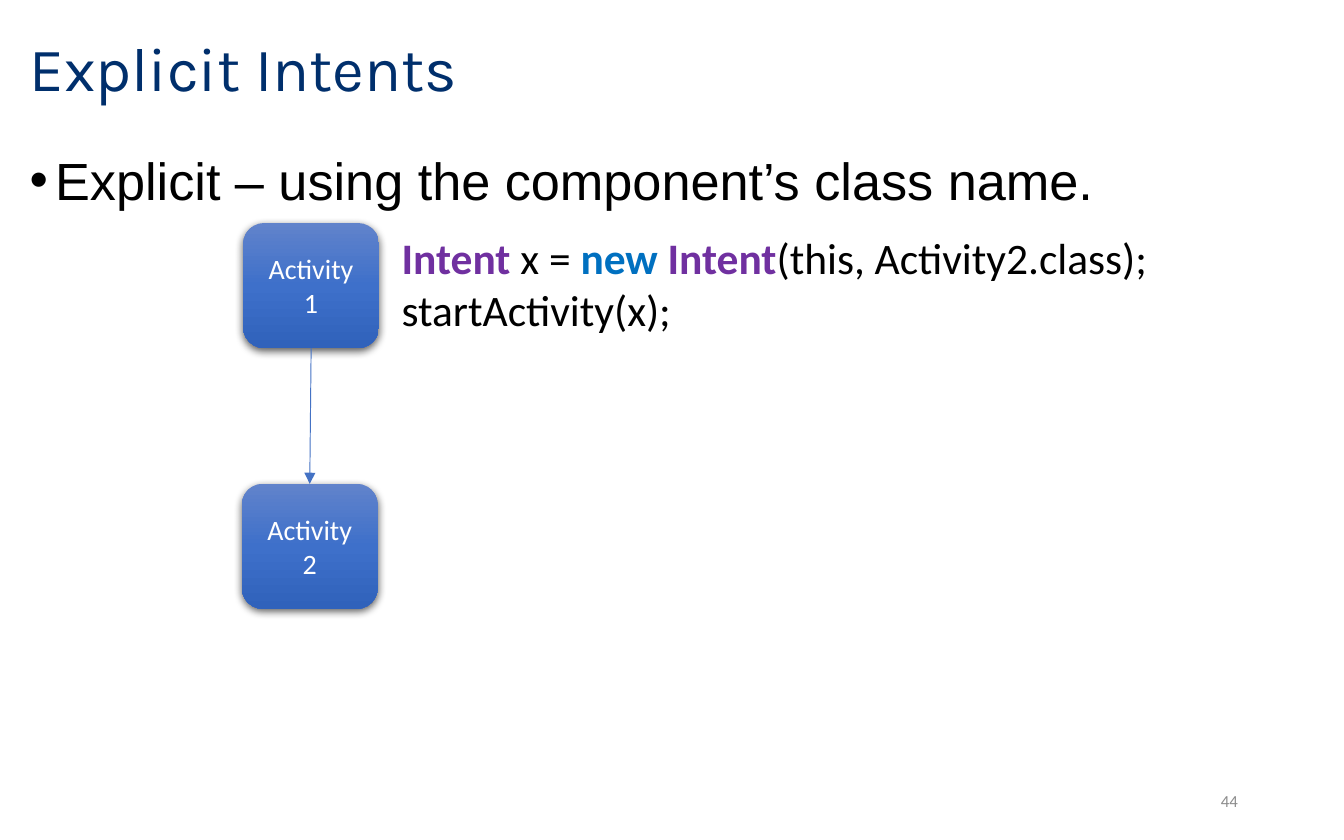
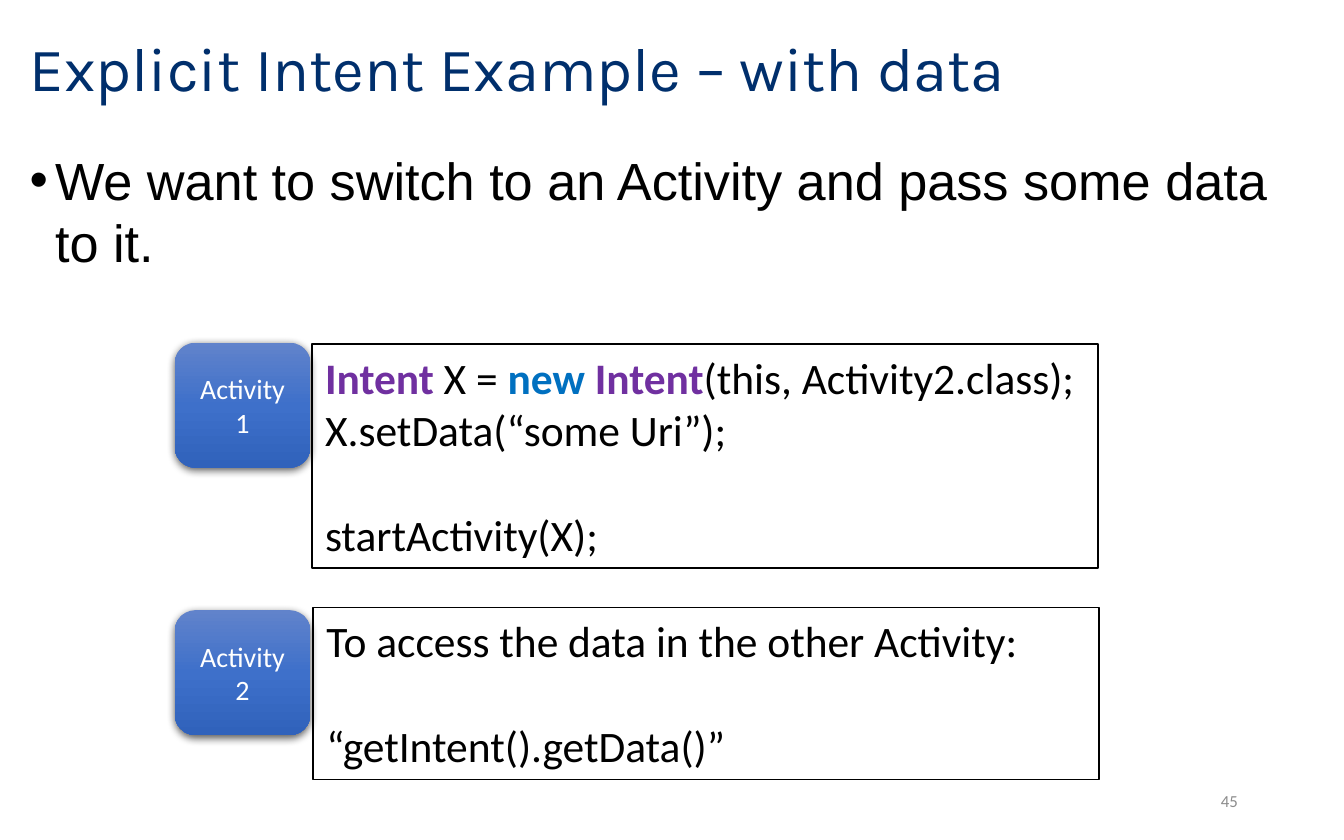
from copy import deepcopy
from dataclasses import dataclass

from lxml import etree
from pptx import Presentation
from pptx.dml.color import RGBColor
from pptx.enum.shapes import MSO_CONNECTOR, MSO_SHAPE
from pptx.enum.text import MSO_ANCHOR, MSO_AUTO_SIZE, PP_ALIGN
from pptx.oxml.ns import qn
from pptx.util import Pt

ROUND = MSO_SHAPE.ROUNDED_RECTANGLE
STRAIGHT = MSO_CONNECTOR.STRAIGHT
MID, TOP = MSO_ANCHOR.MIDDLE, MSO_ANCHOR.TOP
LEFT, CENTER, RIGHT = PP_ALIGN.LEFT, PP_ALIGN.CENTER, PP_ALIGN.RIGHT
FIXED, GROW = MSO_AUTO_SIZE.NONE, MSO_AUTO_SIZE.SHAPE_TO_FIT_TEXT
UNIT = 9144  # EMU in one px, 100 px to the inch


@dataclass(frozen=True)
class Theme:
    head: str = "Karla"
    body: str = "Arial"
    text: str = "Calibri"
    navy: str = "002F6C"
    black: str = "000000"
    white: str = "FFFFFF"
    grey: str = "8C8C8C"
    arrow: str = "4472C4"
    type: str = "7030A0"
    key: str = "0070C0"
    blend: tuple = ((0, "6183CB"), (0.5, "3E70CA"), (1, "3062BB"))
    title: float = 33
    list: float = 28
    code: float = 23.3
    label: float = 15
    note: float = 9
    gap: float = 28.4  # one empty line of code


def px(*nums):
    return [n * UNIT for n in nums]


def rgb(code):
    return RGBColor.from_string(code)


def node(up, tag, **attrs):
    return etree.SubElement(up, qn(tag), {k: str(v) for k, v in attrs.items()})


class Deck:
    def __init__(self, theme):
        self.theme = theme
        self.prs = Presentation()
        self.prs.slide_width, self.prs.slide_height = px(1000, 625)
        self.slide = None

    # Text helpers
    def run(self, para, text, font, size, color, bold=False):
        run = para.add_run()
        run.text = text
        run.font.name, run.font.size = font, Pt(size)
        run.font.bold = bold
        run.font.color.rgb = rgb(color)

    def frame(self, shape, anchor=TOP, fit=FIXED, wrap=True):
        frame = shape.text_frame
        frame.auto_size, frame.word_wrap = fit, wrap
        frame.vertical_anchor = anchor
        return frame

    def place(self, shape, *box):
        shape.left, shape.top, shape.width, shape.height = px(*box)

    # Title, list and page number
    def page(self, title, point, num):
        t = self.theme
        self.slide = self.prs.slides.add_slide(self.prs.slide_layouts[1])
        self.title(title)
        self.point(point)
        box = self.slide.shapes.add_textbox(*px(706, 579, 225, 33))
        para = self.frame(box, MID).paragraphs[0]
        para.alignment = RIGHT
        self.run(para, str(num), t.text, t.note, t.grey)

    def title(self, text):
        t, shape = self.theme, self.slide.shapes.title
        self.place(shape, 12, 10, 852, 86)
        para = self.frame(shape, MID).paragraphs[0]
        para.alignment, para.line_spacing = LEFT, 0.9
        self.run(para, text, t.head, t.title, t.navy)

    def point(self, text):
        t, shape = self.theme, self.slide.placeholders[1]
        self.place(shape, 12, 105, 977, 458)
        para = self.frame(shape).paragraphs[0]
        props = para._p.get_or_add_pPr()
        props.set("marL", str(19 * UNIT))
        props.set("indent", str(-19 * UNIT))
        node(props, "a:buChar", char="•")
        para.space_before = Pt(0)
        self.run(para, text, t.body, t.list, t.black)

    # Rounded box for one activity
    def activity(self, num, left, top):
        t = self.theme
        shape = self.slide.shapes.add_shape(ROUND, *px(left, top, 101, 93))
        shape.line.fill.background()
        self.blend(shape)
        self.shade(shape)
        para = self.frame(shape, MID).paragraphs[0]
        para.alignment = CENTER
        self.run(para, "Activity", t.text, t.label, t.white)
        para.add_line_break()
        self.run(para, str(num), t.text, t.label, t.white)
        return shape

    def blend(self, shape):
        fill = shape.fill
        fill.gradient()
        fill.gradient_angle = 270
        stops = shape.element.spPr.find(".//" + qn("a:gsLst"))
        stops.append(deepcopy(stops[0]))
        for stop, (pos, color) in zip(fill.gradient_stops, self.theme.blend):
            stop.position, stop.color.rgb = pos, rgb(color)

    def shade(self, shape):
        shape.shadow.inherit = False
        effect = shape.element.spPr.find(qn("a:effectLst"))
        shadow = node(effect, "a:outerShdw", blurRad=Pt(4.5), dist=Pt(1.5),
                      dir=5400000, algn="ctr", rotWithShape=0)
        color = node(shadow, "a:srgbClr", val=self.theme.black)
        node(color, "a:alpha", val=63000)

    # Arrow from the foot of one box to the top of the next
    def arrow(self, start, end):
        line = self.slide.shapes.add_connector(STRAIGHT, 0, 0, 0, 0)
        line.begin_connect(start, 2)
        line.end_connect(end, 0)
        line.line.color.rgb = rgb(self.theme.arrow)
        line.line.width = Pt(0.5)
        node(line.line._get_or_add_ln(), "a:tailEnd", type="triangle")
        node(line.element.spPr, "a:effectLst")

    # Lines of code; None leaves a gap before the next line
    def code(self, box, lines, edge=False):
        t = self.theme
        shape = self.slide.shapes.add_textbox(*px(*box))
        if edge:
            shape.fill.solid()
            shape.fill.fore_color.rgb = rgb(t.white)
            shape.line.color.rgb = rgb(t.black)
            shape.line.width = Pt(1)
        frame = self.frame(shape, fit=GROW, wrap=edge)
        para, gap = frame.paragraphs[0], 0
        for i, line in enumerate(lines):
            if line is None:
                gap = t.gap
                continue
            if i:
                para = frame.add_paragraph()
                para.space_before = Pt(gap)
            gap = 0
            for text, color in line:
                self.run(para, text, t.text, t.code, color, color != t.black)


def plain(text):
    return [(text, Theme.black)]


def create(name):
    return [("Intent", Theme.type), (f" {name} = ", Theme.black),
            ("new ", Theme.key), ("Intent", Theme.type),
            ("(this, Activity2.class);", Theme.black)]


def main():
    deck = Deck(Theme())

    # Explicit intent
    deck.page("Explicit Intents",
              "Explicit – using the component’s class name.", 44)
    first = deck.activity(1, 181, 166)
    second = deck.activity(2, 180, 360)
    deck.arrow(first, second)
    deck.code((289, 167, 582, 89), [create("x"), plain("startActivity(x);")])

    # Intent that carries data
    deck.page("Explicit Intent Example – with data",
              "We want to switch to an Activity and pass some data to it.", 45)
    deck.code((232, 256, 585, 167),
              [create("X"), plain("X.setData(“some Uri”);"), None,
               plain("startActivity(X);")], edge=True)
    deck.code((233, 452, 585, 128),
              [plain("To access the data in the other Activity:"), None,
               plain("“getIntent().getData()”")], edge=True)
    for num, top in ((1, 255), (2, 454)):
        deck.activity(num, 130, top)

    deck.prs.save("out.pptx")


if __name__ == "__main__":
    main()
